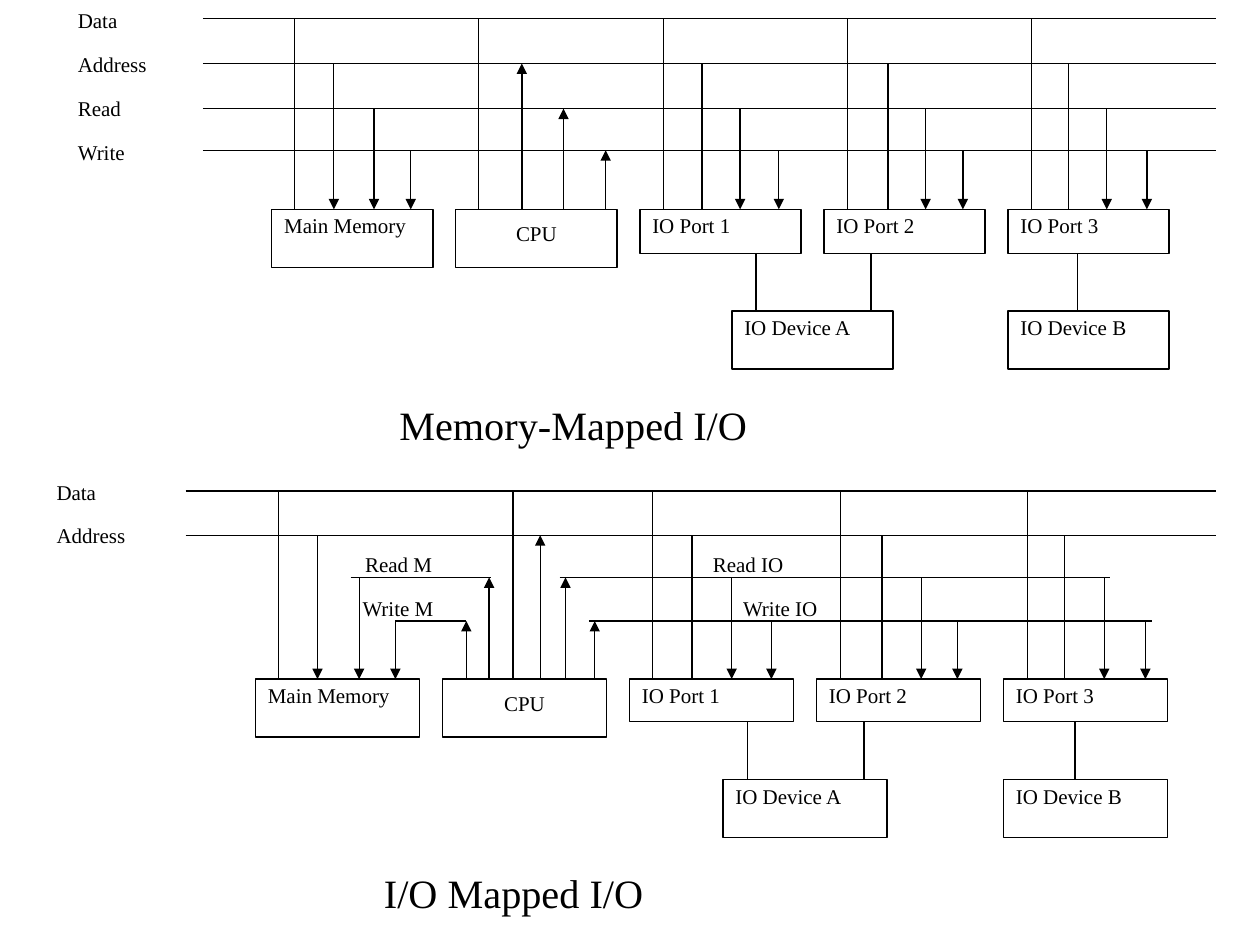
import pptx
import pptx.dml.color
import pptx.enum.shapes
import pptx.enum.text
import pptx.oxml.ns
import pptx.util
from lxml import etree

BLACK = pptx.dml.color.RGBColor(0, 0, 0)
WHITE = pptx.dml.color.RGBColor(255, 255, 255)
FONT = "Times New Roman"
Cm = pptx.util.Cm

UNITS = ["Main Memory", "CPU", "IO Port 1", "IO Port 2", "IO Port 3"]
DEVICES = [("IO Device A", 2.5), ("IO Device B", 4)]

DIAGRAMS = [
    {
        "title": ("Memory-Mapped I/O", 7.8, 8.05, 11.12),
        "left": 5.48, "pitch": 3.71, "width": 3.25,
        "unit_top": 4.22, "port_height": 0.89, "device_top": 6.27,
        "labels": [("Data", 1.32, 0.08), ("Address", 1.32, 0.96),
                   ("Read", 1.32, 1.85), ("Write", 1.32, 2.74)],
        "buses": [
            {"y": 0.38, "rails": [(4.09, 24.51)],
             "plain": [5.94, 9.65, 13.37, 17.09, 20.8]},
            {"y": 1.28, "rails": [(4.09, 24.51)],
             "plain": [14.15, 17.9, 21.54], "down": [6.73], "up": [10.52]},
            {"y": 2.19, "rails": [(4.09, 24.51)],
             "down": [7.54, 14.92, 18.66, 22.31], "up": [11.36]},
            {"y": 3.03, "rails": [(4.09, 24.51)],
             "down": [8.28, 15.7, 19.41, 23.12], "up": [12.21]},
        ],
        "device_links": [15.24, 17.56, 21.72],
    },
    {
        "title": ("I/O Mapped I/O", 7.49, 17.48, 9.45),
        "left": 5.15, "pitch": 3.77, "width": 3.31,
        "unit_top": 13.69, "port_height": 0.86, "device_top": 15.72,
        "labels": [("Data", 0.89, 9.6), ("Address", 0.89, 10.46),
                   ("Read M", 7.11, 11.05), ("Write M", 7.06, 11.94),
                   ("Read IO", 14.12, 11.05), ("Write IO", 14.73, 11.94)],
        "buses": [
            {"y": 9.9, "rails": [(3.74, 24.51)],
             "plain": [5.62, 10.34, 13.16, 16.95, 20.72]},
            {"y": 10.79, "rails": [(3.74, 24.51)],
             "plain": [13.95, 17.78, 21.46], "down": [6.4], "up": [10.89]},
            {"y": 11.64, "rails": [(7.07, 9.9), (11.28, 22.37)],
             "down": [7.24, 14.75, 18.57, 22.26], "up": [9.86, 11.4]},
            {"y": 12.52, "rails": [(7.97, 9.4), (11.87, 23.22)],
             "down": [7.97, 15.55, 19.3, 23.09], "up": [9.4, 11.99]},
        ],
        "device_links": [15.07, 17.42, 21.67],
    },
]
UNIT_HEIGHT = 1.17
ARROW_ENDS = {"plain": None, "down": "a:tailEnd", "up": "a:headEnd"}


def write(shape, words, size=12):
    frame = shape.text_frame
    frame.word_wrap = True
    frame.vertical_anchor = pptx.enum.text.MSO_ANCHOR.TOP
    frame.margin_left = frame.margin_right = Cm(0.25)
    frame.margin_top = frame.margin_bottom = Cm(0.13)
    frame.text = words
    para = frame.paragraphs[0]
    para.alignment = pptx.enum.text.PP_ALIGN.LEFT
    para.line_spacing = 0.9
    span = para.runs[0]
    span.font.name = FONT
    span.font.size = pptx.util.Pt(size)
    span.font.color.rgb = BLACK


def add_label(group, words, left, top, width, height, size=12):
    label = group.shapes.add_textbox(Cm(left), Cm(top), Cm(width), Cm(height))
    write(label, words, size)


def add_box(group, words, left, top, width, height):
    box = group.shapes.add_shape(pptx.enum.shapes.MSO_SHAPE.RECTANGLE,
                                 Cm(left), Cm(top), Cm(width), Cm(height))
    box.shadow.inherit = False
    box.fill.solid()
    box.fill.fore_color.rgb = WHITE
    box.line.color.rgb = BLACK
    box.line.width = pptx.util.Pt(0.75)
    write(box, words)
    if words == "CPU":
        box.text_frame.margin_top = Cm(0.28)
        box.text_frame.paragraphs[0].alignment = pptx.enum.text.PP_ALIGN.CENTER


def add_line(group, x1, y1, x2, y2, arrow_end=None):
    line = group.shapes.add_connector(pptx.enum.shapes.MSO_CONNECTOR.STRAIGHT,
                                      Cm(x1), Cm(y1), Cm(x2), Cm(y2))
    line.line.color.rgb = BLACK
    line.line.width = pptx.util.Pt(0.75)
    qn = pptx.oxml.ns.qn
    properties = line._element.spPr
    if arrow_end:
        etree.SubElement(properties.find(qn("a:ln")), qn(arrow_end), type="triangle")
    etree.SubElement(properties, qn("a:effectLst"))


def add_diagram(page, diagram):
    group = page.shapes.add_group_shape()
    left, pitch, width = diagram["left"], diagram["pitch"], diagram["width"]
    unit_top, port_height = diagram["unit_top"], diagram["port_height"]
    device_top = diagram["device_top"]

    for column, name in enumerate(UNITS):
        height = port_height if name.startswith("IO Port") else UNIT_HEIGHT
        add_box(group, name, left + column * pitch, unit_top, width, height)
    for name, column in DEVICES:
        add_box(group, name, left + column * pitch, device_top, width, UNIT_HEIGHT)
    for words, x, y in diagram["labels"]:
        add_label(group, words, x, y, width, port_height)

    for bus in diagram["buses"]:
        for start, end in bus["rails"]:
            add_line(group, start, bus["y"], end, bus["y"])
        for kind, arrow_end in ARROW_ENDS.items():
            for x in bus.get(kind, []):
                add_line(group, x, bus["y"], x, unit_top, arrow_end)
    for x in diagram["device_links"]:
        add_line(group, x, unit_top + port_height, x, device_top)

    words, x, y, title_width = diagram["title"]
    add_label(group, words, x, y, title_width, UNIT_HEIGHT, 23)


def main():
    deck = pptx.Presentation()
    deck.slide_width, deck.slide_height = Cm(25.4), Cm(19.05)
    page = deck.slides.add_slide(deck.slide_layouts[6])
    for diagram in DIAGRAMS:
        add_diagram(page, diagram)
    deck.save("out.pptx")


if __name__ == "__main__":
    main()
